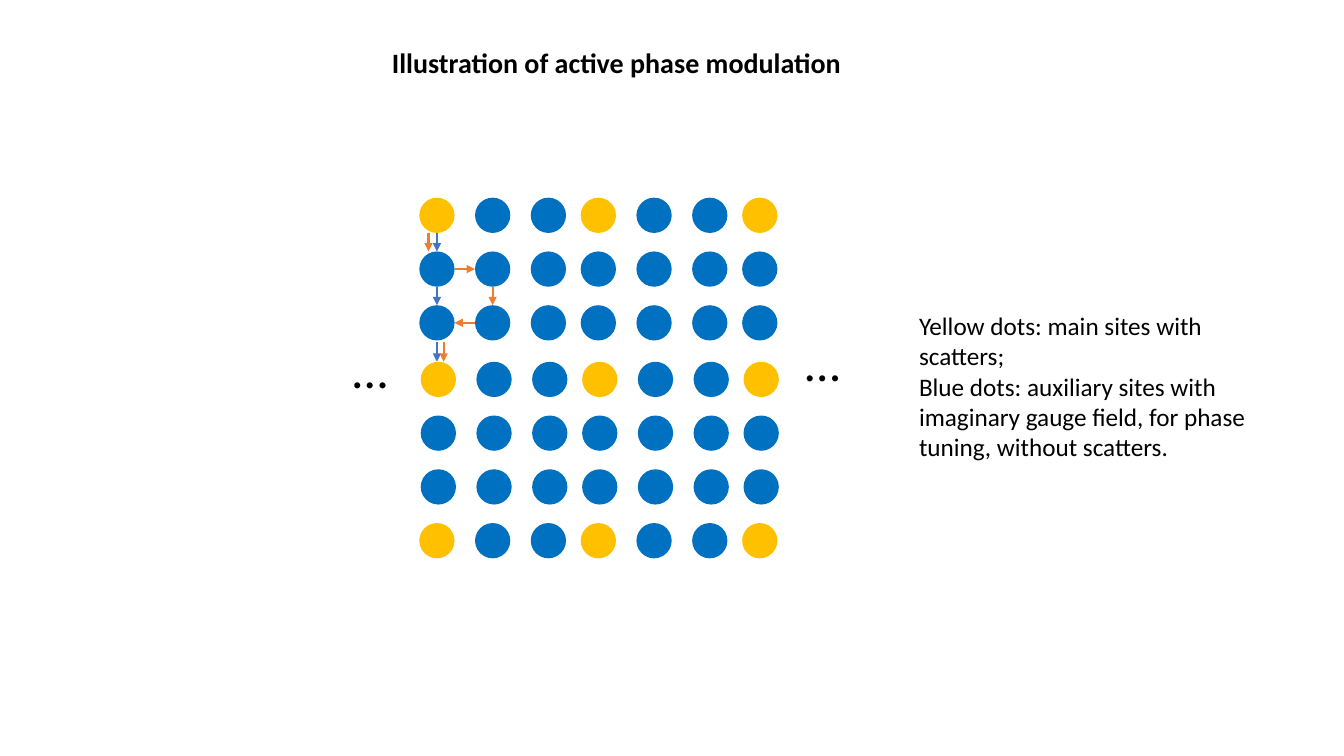
from lxml import etree
from pptx import Presentation
from pptx.dml.color import RGBColor
from pptx.enum.shapes import MSO_CONNECTOR, MSO_SHAPE
from pptx.enum.text import MSO_AUTO_SIZE, PP_ALIGN
from pptx.oxml.ns import qn
from pptx.util import Pt

OVAL = MSO_SHAPE.OVAL
STRAIGHT = MSO_CONNECTOR.STRAIGHT
GROW = MSO_AUTO_SIZE.SHAPE_TO_FIT_TEXT
LEFT, CENTER = PP_ALIGN.LEFT, PP_ALIGN.CENTER

BLACK = RGBColor(0x00, 0x00, 0x00)
MAIN_YELLOW = RGBColor(0xFF, 0xC0, 0x00)
AUXILIARY_BLUE = RGBColor(0x00, 0x70, 0xC0)
DIRECT_BLUE = RGBColor(0x44, 0x72, 0xC4)
DETOUR_ORANGE = RGBColor(0xED, 0x7D, 0x31)

# Lattice geometry in points: a main site starts every period of three
SITES = 7
PERIOD = 3
DOT = 25.2
LATTICE_LEFT = 299.5
PERIOD_WIDTH = 115.3
COLUMN_STEP = 39.8
ROW_STEP = 38.4
PERIOD_TOPS = (141.2, 258.4, 373.6)
PERIOD_SHIFTS = (0, 1, 0)


def site_position(row, column):
    row_period, row_index = divmod(row, PERIOD)
    column_period, column_index = divmod(column, PERIOD)
    left = (LATTICE_LEFT + PERIOD_SHIFTS[row_period]
            + column_period * PERIOD_WIDTH + column_index * COLUMN_STEP)
    return left, PERIOD_TOPS[row_period] + row_index * ROW_STEP


class SlideBuilder:
    font_name = "Calibri"
    line_width = 1.5

    def __init__(self, slide):
        self.slide = slide

    def dot(self, left, top, color):
        shape = self.slide.shapes.add_shape(
            OVAL, Pt(left), Pt(top), Pt(DOT), Pt(DOT))
        shape.shadow.inherit = False
        shape.fill.solid()
        shape.fill.fore_color.rgb = color
        shape.line.fill.background()

    def text(self, box, paragraphs, size, bold=False, alignment=LEFT):
        shape = self.slide.shapes.add_textbox(*(Pt(length) for length in box))
        frame = shape.text_frame
        frame.word_wrap = True
        frame.auto_size = GROW
        for index, wording in enumerate(paragraphs):
            paragraph = frame.add_paragraph() if index else frame.paragraphs[0]
            paragraph.alignment = alignment
            run = paragraph.add_run()
            run.text = wording
            run.font.name = self.font_name
            run.font.size = Pt(size)
            run.font.bold = bold
            run.font.color.rgb = BLACK

    def arrow(self, start, end, color):
        connector = self.slide.shapes.add_connector(
            STRAIGHT, *(Pt(length) for length in (*start, *end)))
        connector.line.color.rgb = color
        connector.line.width = Pt(self.line_width)
        properties = connector._element.spPr
        head = etree.SubElement(properties.find(qn("a:ln")), qn("a:tailEnd"))
        head.set("type", "triangle")
        etree.SubElement(properties, qn("a:effectLst"))


def main():
    presentation = Presentation()
    presentation.slide_width = Pt(960)
    presentation.slide_height = Pt(540)
    slide = presentation.slides.add_slide(presentation.slide_layouts[6])
    builder = SlideBuilder(slide)

    # Lattice of main and auxiliary sites
    for row in range(SITES):
        for column in range(SITES):
            is_main = row % PERIOD == 0 and column % PERIOD == 0
            builder.dot(*site_position(row, column),
                        MAIN_YELLOW if is_main else AUXILIARY_BLUE)

    # Title, continuation marks and legend
    builder.text((254.9, 28.8, 370.8, 31.5),
                 ["Illustration of active phase modulation"],
                 20, bold=True, alignment=CENTER)
    for left, top in ((244.8, 238.3), (568.1, 232.6)):
        builder.text((left, top, 57.6, 51), ["…"], 36)
    builder.text((649.4, 218.2, 273.6, 116.6), [
        "Yellow dots: main sites with scatters;",
        "Blue dots: auxiliary sites with imaginary gauge field, "
        "for phase tuning, without scatters.",
    ], 18)

    # Hopping paths from the first main site to the one below it
    radius = DOT / 2
    first = LATTICE_LEFT + radius
    second = first + COLUMN_STEP
    row_tops = [site_position(row, 0)[1] for row in range(PERIOD + 1)]
    gaps = [(top + DOT, below) for top, below in zip(row_tops, row_tops[1:])]
    gaps[-1] = (gaps[-1][0] + 1.4, gaps[-1][1])

    vertical_hops = [(first, gap, DIRECT_BLUE) for gap in gaps]
    vertical_hops += [
        (first - 6, gaps[0], DETOUR_ORANGE),
        (second, gaps[1], DETOUR_ORANGE),
        (first + 4.8, gaps[2], DETOUR_ORANGE),
    ]
    for x, (start, end), color in vertical_hops:
        builder.arrow((x, start), (x, end), color)

    near, far = first + radius, second - radius
    for row, start, end in ((1, near, far), (2, far, near)):
        y = row_tops[row] + radius
        builder.arrow((start, y), (end, y), DETOUR_ORANGE)

    presentation.save("out.pptx")


if __name__ == "__main__":
    main()
